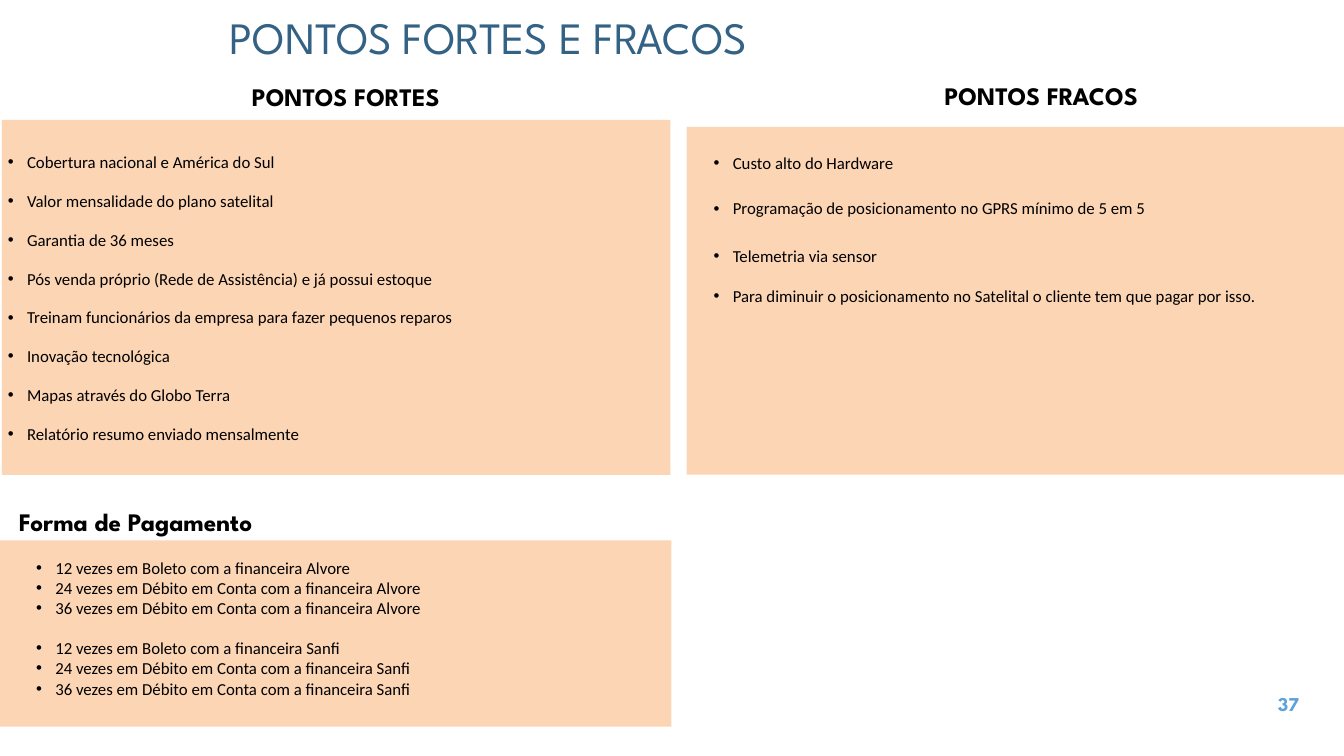
from lxml import etree
from pptx import Presentation
from pptx.dml.color import RGBColor
from pptx.enum import shapes, text
from pptx.oxml import ns
from pptx.util import Inches, Pt

PEACH = RGBColor(0xFC, 0xD5, 0xB5)
BLACK = RGBColor(0x00, 0x00, 0x00)
TITLE_BLUE = RGBColor(0x33, 0x62, 0x85)
NUMBER_BLUE = RGBColor(0x5F, 0xA1, 0xD8)
HEADING_FONT = "League Spartan"
BODY_FONT = "Calibri"
BULLET_INDENT = Inches(0.19)

# Each item is (wording, space before it in points).
STRENGTHS = [
    ("Cobertura nacional e América do Sul", 0),
    ("Valor mensalidade do plano satelital", 13.3),
    ("Garantia de 36 meses", 13.3),
    ("Pós venda próprio (Rede de Assistência) e já possui estoque", 13.3),
    ("Treinam funcionários da empresa para fazer pequenos reparos", 13.3),
    ("Inovação tecnológica", 13.3),
    ("Mapas através do Globo Terra", 13.3),
    ("Relatório resumo enviado mensalmente", 13.3),
]
WEAKNESSES = [
    ("Custo alto do Hardware", 0),
    ("Programação de posicionamento no GPRS mínimo de 5 em 5", 17.8),
    ("Telemetria via sensor", 19.2),
    ("Para diminuir o posicionamento no Satelital o cliente tem que pagar por isso.", 14.6),
]
PAYMENTS = [
    (f"{terms} com a financeira {lender}", gap)
    for lender, group_gap in (("Alvore", 0), ("Sanfi", 14.4))
    for terms, gap in (
        ("12 vezes em Boleto", group_gap),
        ("24 vezes em Débito em Conta", 0),
        ("36 vezes em Débito em Conta", 0),
    )
]


def add_text_frame(slide, left, top, width, height):
    frame = slide.shapes.add_textbox(
        Inches(left), Inches(top), Inches(width), Inches(height)).text_frame
    frame.word_wrap = True
    return frame


def add_run(paragraph, wording, font, size, color, bold=False):
    run = paragraph.add_run()
    run.text = wording
    run.font.name = font
    run.font.size = Pt(size)
    run.font.bold = bold
    run.font.color.rgb = color


def add_heading(slide, box, wording, size=18, color=BLACK, bold=True):
    paragraph = add_text_frame(slide, *box).paragraphs[0]
    add_run(paragraph, wording, HEADING_FONT, size, color, bold)
    return paragraph


def add_bullets(slide, box, items):
    frame = add_text_frame(slide, *box)
    for index, (wording, gap) in enumerate(items):
        paragraph = frame.add_paragraph() if index else frame.paragraphs[0]
        paragraph.space_before = Pt(gap)
        add_run(paragraph, wording, BODY_FONT, 12, BLACK)
        properties = paragraph._p.get_or_add_pPr()
        properties.set("marL", str(BULLET_INDENT))
        properties.set("indent", str(-BULLET_INDENT))
        etree.SubElement(properties, ns.qn("a:buFont"), typeface="Arial")
        etree.SubElement(properties, ns.qn("a:buChar"), char="•")


def add_panel(slide, box, heading, heading_box, items, inset):
    """Place a filled panel, its heading and its list; all offsets are from the panel."""
    left, top, width, height = box
    panel = slide.shapes.add_shape(
        shapes.MSO_SHAPE.RECTANGLE, *(Inches(length) for length in box))
    panel.shadow.inherit = False
    panel.fill.solid()
    panel.fill.fore_color.rgb = PEACH
    panel.line.fill.background()

    heading_x, heading_y, heading_width = heading_box
    add_heading(slide, (left + heading_x, top + heading_y, heading_width, 0.4), heading)

    inset_x, inset_y = inset
    add_bullets(slide, (left + inset_x, top + inset_y,
                        width - inset_x - 0.2, height - inset_y - 0.2), items)


def build_strengths_and_weaknesses(slide):
    add_heading(slide, (2.18, 0.05, 10.32, 0.64), "PONTOS FORTES E FRACOS",
                size=32, color=TITLE_BLUE, bold=False)
    add_panel(slide, (0.02, 1.19, 6.63, 3.52), "PONTOS FORTES",
              (2.38, -0.43, 2.31), STRENGTHS, (-0.04, 0.27))
    add_panel(slide, (6.81, 1.26, 6.54, 3.45), "PONTOS FRACOS",
              (2.46, -0.51, 2.31), WEAKNESSES, (0.17, 0.21))
    add_panel(slide, (0, 5.36, 6.66, 1.85), "Forma de Pagamento",
              (0.09, -0.39, 4.63), PAYMENTS, (0.26, 0.12))
    number = add_heading(slide, (12.49, 6.82, 0.58, 0.34), "37", size=14, color=NUMBER_BLUE)
    number.alignment = text.PP_ALIGN.CENTER


def main():
    deck = Presentation()
    deck.slide_width = Inches(13.33)
    deck.slide_height = Inches(7.5)
    build_strengths_and_weaknesses(deck.slides.add_slide(deck.slide_layouts[6]))
    deck.save("out.pptx")


if __name__ == "__main__":
    main()
